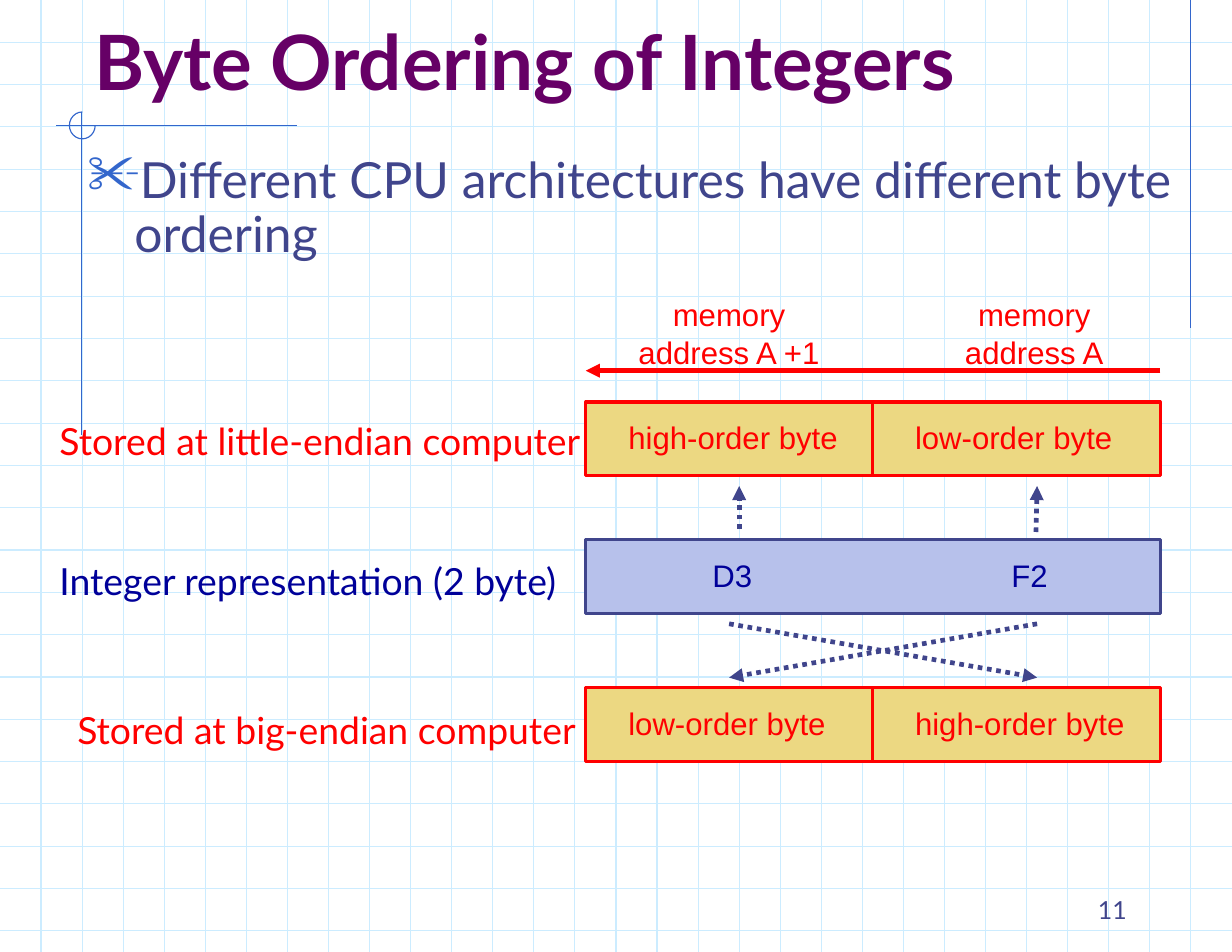
import pptx
import pptx.dml.color
import pptx.enum.dml
import pptx.enum.shapes
import pptx.enum.text
import pptx.oxml.ns
import pptx.util
from dataclasses import dataclass
from lxml import etree

Inches = pptx.util.Inches
Pt = pptx.util.Pt
Shapes = pptx.enum.shapes.MSO_SHAPE
Align = pptx.enum.text.PP_ALIGN
Anchor = pptx.enum.text.MSO_ANCHOR
qn = pptx.oxml.ns.qn


@dataclass(frozen=True)
class Theme:
    grid: str = "CCECFF"
    accent: str = "3366CC"
    title: str = "660066"
    ink: str = "40458C"
    navy: str = "000099"
    red: str = "FF0000"
    sand: str = "ECD882"
    lilac: str = "B7C1EB"
    heading_font: str = "Lato"
    diagram_font: str = "Arial"
    title_size: int = 49
    body_size: int = 32
    label_size: int = 24
    byte_size: int = 20
    number_size: int = 16


class Slide:
    def __init__(self, page, theme):
        self.page = page
        self.theme = theme

    def color(self, value):
        return pptx.dml.color.RGBColor.from_string(value)

    def line(self, start, end, color, weight=0.75, arrow=False, dotted=False):
        connector = self.page.shapes.add_connector(
            pptx.enum.shapes.MSO_CONNECTOR.STRAIGHT,
            *(Inches(value) for value in (*start, *end)))
        connector.line.color.rgb = self.color(color)
        connector.line.width = Pt(weight)
        if dotted:
            connector.line.dash_style = pptx.enum.dml.MSO_LINE.ROUND_DOT
        if arrow:
            etree.SubElement(connector.get_or_add_ln(), qn("a:tailEnd"), type="triangle")
        etree.SubElement(connector.element.spPr, qn("a:effectLst"))

    def shape(self, kind, place, line, weight, fill=None):
        shape = self.page.shapes.add_shape(kind, *(Inches(value) for value in place))
        shape.shadow.inherit = False
        shape.line.color.rgb = self.color(line)
        shape.line.width = Pt(weight)
        if fill:
            shape.fill.solid()
            shape.fill.fore_color.rgb = self.color(fill)
        else:
            shape.fill.background()
        return shape

    def text(self, words, place, size, color, font, bold=False, align=Align.LEFT,
             anchor=Anchor.TOP):
        box = self.page.shapes.add_textbox(*(Inches(value) for value in place))
        frame = box.text_frame
        frame.word_wrap = True
        frame.vertical_anchor = anchor
        frame.margin_left = frame.margin_right = Inches(0.11)
        frame.margin_top = frame.margin_bottom = Inches(0.06)
        frame.text = words
        para = frame.paragraphs[0]
        para.alignment = align
        for span in para.runs:
            span.font.name = font
            span.font.size = Pt(size)
            span.font.bold = bold
            span.font.color.rgb = self.color(color)
        return para

    def bullet(self, para, symbol, indent, color, percent):
        props = para._p.get_or_add_pPr()
        props.set("marL", str(Inches(indent)))
        props.set("indent", str(-Inches(indent)))
        holder = etree.SubElement(props, qn("a:buClr"))
        etree.SubElement(holder, qn("a:srgbClr"), val=color)
        etree.SubElement(props, qn("a:buSzPct"), val=str(percent * 1000))
        etree.SubElement(props, qn("a:buChar"), char=symbol)

    def label(self, words, place, color):
        self.text(words, place, self.theme.label_size, color, self.theme.heading_font)

    def byte_text(self, words, place, color, align=Align.LEFT):
        self.text(words, place, self.theme.byte_size, color,
                  self.theme.diagram_font, align=align)

    def byte_pair(self, top, names):
        for left, name in zip((5.23, 7.79), names):
            self.shape(Shapes.RECTANGLE, (left, top, 2.57, 0.66),
                       self.theme.red, 2, self.theme.sand)
            self.byte_text(name, (left + 0.27, top + 0.09, 2.25, 0.44), self.theme.red)


def main():
    deck = pptx.Presentation()
    width, height = 11, 8.5
    deck.slide_width, deck.slide_height = Inches(width), Inches(height)
    theme = Theme()
    slide = Slide(deck.slides.add_slide(deck.slide_layouts[6]), theme)

    # Graph-paper background
    for row in range(1, 23):
        y = row * height / 22.5
        slide.line((0, y), (width, y), theme.grid)
    for column in range(1, 30):
        x = column * width / 30
        slide.line((x, 0), (x, height), theme.grid)

    # Corner ornaments
    slide.line((10.63, 0), (10.63, 2.93), theme.accent)
    slide.line((2.65, 1.12), (0.5, 1.12), theme.accent)
    slide.line((0.73, 1), (0.73, 3.88), theme.accent)
    arc = slide.shape(Shapes.ARC, (0.62, 1, 0.23, 0.24), theme.accent, 0.75)
    arc.adjustments[0] = 0
    arc.adjustments[1] = 162  # 270 degrees

    # Page number, title and statement
    slide.text("11", (7.88, 7.74, 2.29, 0.57), theme.number_size, theme.ink,
               theme.heading_font, align=Align.RIGHT, anchor=Anchor.BOTTOM)
    slide.text("Byte Ordering of Integers", (0.73, 0.38, 9.35, 0.62), theme.title_size,
               theme.title, theme.heading_font, bold=True, anchor=Anchor.BOTTOM)
    statement = slide.text("Different CPU architectures have different byte ordering",
                           (0.67, 1.33, 10.04, 1.34), theme.body_size, theme.ink,
                           theme.heading_font)
    statement.line_spacing = 0.9
    slide.bullet(statement, "✂", 0.42, theme.accent, 110)

    # Integer value
    slide.shape(Shapes.RECTANGLE, (5.23, 4.82, 5.13, 0.66), theme.ink, 2, theme.lilac)
    for digits, left in (("D3", 6.25), ("F2", 8.92)):
        slide.byte_text(digits, (left, 4.91, 0.65, 0.44), theme.navy)
    slide.label("Integer representation (2 byte)", (0.42, 4.92, 5.25, 0.51), theme.navy)

    # Little-endian storage and memory addresses
    slide.byte_pair(3.59, ("high-order byte", "low-order byte"))
    slide.line((10.36, 3.31), (5.23, 3.31), theme.red, 3, arrow=True)
    for address, left, span in (("A +1", 5.58, 1.86), ("A", 8.5, 1.47)):
        slide.byte_text("memory\vaddress " + address, (left, 2.58, span, 0.78),
                        theme.red, Align.CENTER)
    slide.label("Stored at little-endian computer", (0.42, 3.67, 4.92, 0.91), theme.red)

    # Big-endian storage
    slide.label("Stored at big-endian computer", (0.58, 6.25, 4.92, 0.91), theme.red)
    slide.byte_pair(6.14, ("low-order byte", "high-order byte"))

    # Byte mapping: straight up, crossed down
    for start, end in (((9.25, 4.75), (9.26, 4.34)), ((6.6, 4.72), (6.6, 4.34)),
                       ((9.26, 5.57), (6.51, 6.05)), ((6.51, 5.57), (9.26, 6.05))):
        slide.line(start, end, theme.ink, 3, arrow=True, dotted=True)

    deck.save("out.pptx")


if __name__ == "__main__":
    main()
